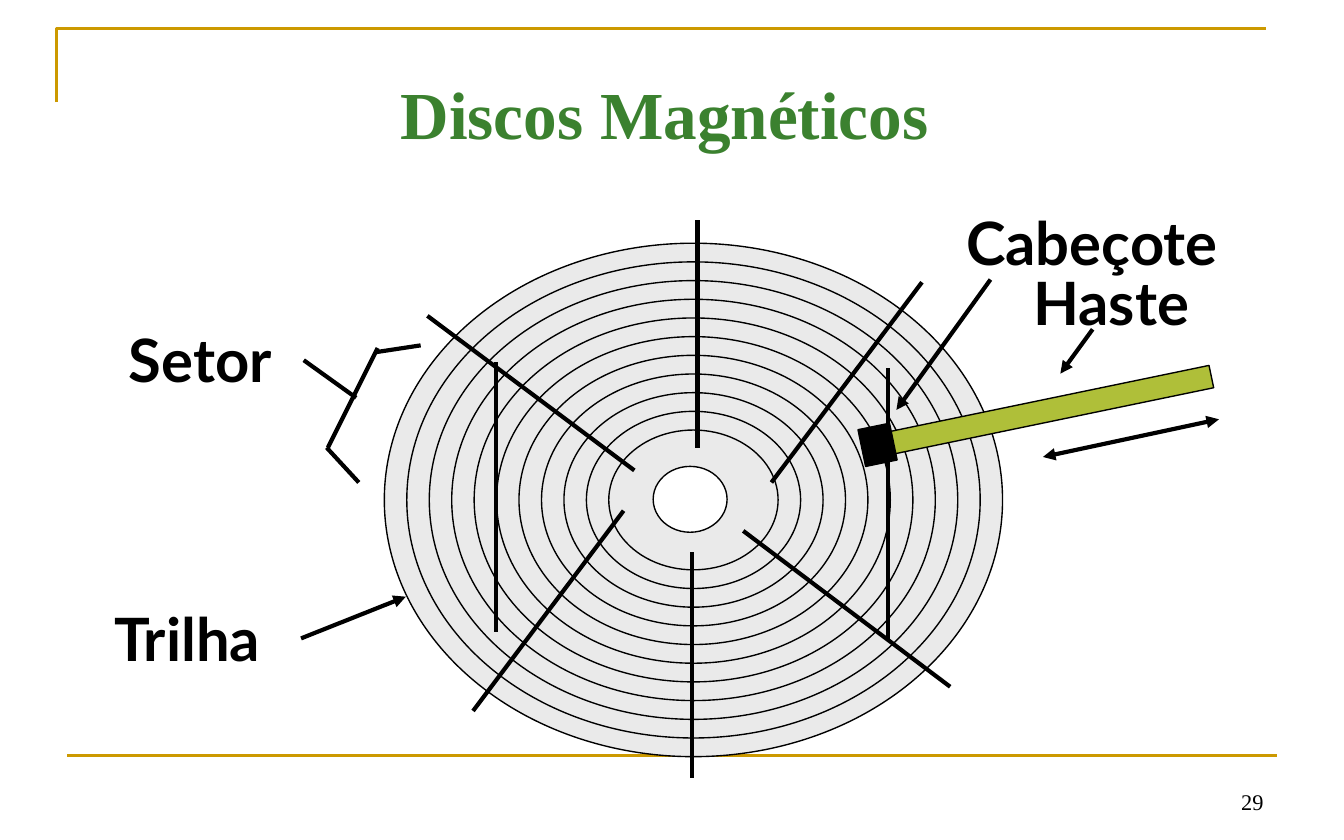
from lxml.etree import SubElement
from pptx import Presentation
from pptx.dml.color import RGBColor
from pptx.enum.shapes import MSO_CONNECTOR, MSO_SHAPE
from pptx.enum.text import MSO_ANCHOR, PP_ALIGN
from pptx.oxml.ns import qn
from pptx.util import Inches, Pt

COLORS = {
    "black": "000000",
    "white": "FFFFFF",
    "gold": "CC9900",
    "title": "3B812F",
    "disk": "EAEAEA",
    "arm": "AFBF39",
}
TRACK_COUNT = 11


def rgb(name):
    return RGBColor.from_string(COLORS[name])


def add_label(slide, text, box, size=32, font="Lato", color="black", bold=True,
              align=PP_ALIGN.LEFT, anchor=MSO_ANCHOR.TOP):
    label = slide.shapes.add_textbox(*map(Inches, box))
    frame = label.text_frame
    frame.word_wrap = True
    frame.vertical_anchor = anchor
    paragraph = frame.paragraphs[0]
    paragraph.alignment = align
    run = paragraph.add_run()
    run.text = text
    run.font.size = Pt(size)
    run.font.name = font
    run.font.bold = bold
    run.font.color.rgb = rgb(color)


def add_part(slide, preset, box, fill=None, rotation=0):
    part = slide.shapes.add_shape(preset, *map(Inches, box))
    part.shadow.inherit = False
    part.rotation = rotation
    if fill:
        part.fill.solid()
        part.fill.fore_color.rgb = rgb(fill)
    else:
        part.fill.background()
    part.line.color.rgb = rgb("black")
    part.line.width = Pt(0.75)


def add_line(slide, start, end, color="black", width=2.25, arrows=()):
    """Draw a line; arrows lists the ends ("headEnd", "tailEnd") that point."""
    line = slide.shapes.add_connector(
        MSO_CONNECTOR.STRAIGHT, *map(Inches, (*start, *end)))
    line.line.color.rgb = rgb(color)
    line.line.width = Pt(width)
    outline = line.line._get_or_add_ln()
    for arrow in arrows:
        SubElement(outline, qn(f"a:{arrow}"), type="triangle")
    SubElement(line._element.spPr, qn("a:effectLst"))


def add_frame(slide):
    builder = slide.shapes.build_freeform(Inches(0.42), Inches(0.76))
    corner = [(0.42, 0.21), (9.42, 0.21)]
    builder.add_line_segments(
        [(Inches(x), Inches(y)) for x, y in corner], close=False)
    border = builder.convert_to_shape()
    border.shadow.inherit = False
    border.fill.background()
    border.line.color.rgb = rgb("gold")
    border.line.width = Pt(1.5)
    add_line(slide, (0.5, 5.62), (9.5, 5.62), "gold", 1.5)


def add_disk(slide):
    # Concentric tracks, from the rim inwards
    left, top, width, height = 2.86, 1.81, 4.6, 3.82
    inset_x, inset_y = 1.67 / (TRACK_COUNT - 1), 1.39 / (TRACK_COUNT - 1)
    for track in range(TRACK_COUNT):
        dx, dy = track * inset_x, track * inset_y
        add_part(slide, MSO_SHAPE.OVAL,
                 (left + dx, top + dy, width - 2 * dx, height - 2 * dy),
                 None if track else "disk")
    add_part(slide, MSO_SHAPE.OVAL, (4.86, 3.47, 0.55, 0.49), "white")

    # Sector borders
    for start, end in [
        ((5.19, 1.64), (5.19, 3.33)),
        ((5.15, 4.11), (5.15, 5.79)),
        ((6.61, 4.76), (6.61, 2.74)),
        ((3.69, 4.7), (3.69, 2.69)),
        ((3.52, 5.29), (4.64, 3.8)),
        ((5.74, 3.59), (6.86, 2.1)),
        ((7.07, 5.11), (5.53, 3.95)),
        ((4.72, 3.5), (3.18, 2.35)),
    ]:
        add_line(slide, start, end)


def add_arm(slide):
    tilt = 348.3
    add_part(slide, MSO_SHAPE.RECTANGLE, (6.45, 2.98, 2.59, 0.17), "arm", tilt)
    add_part(slide, MSO_SHAPE.RECTANGLE, (6.41, 3.17, 0.24, 0.28), "black", tilt)
    add_line(slide, (7.76, 3.4), (9.07, 3.12), arrows=("headEnd", "tailEnd"))


def add_callouts(slide):
    for name, box in [
        ("Trilha", (0.75, 4.43, 1.48, 0.53)),
        ("Setor", (0.86, 2.35, 1.4, 0.53)),
        ("Cabeçote", (7.09, 1.48, 2.27, 0.53)),
        ("Haste", (7.59, 1.93, 1.48, 0.53)),
    ]:
        add_label(slide, name, box)

    # Pointers to track, head and arm
    for start, end in [
        ((2.24, 4.75), (3.02, 4.44)),
        ((7.37, 2.08), (6.67, 3.05)),
        ((8.13, 2.45), (7.89, 2.78)),
    ]:
        add_line(slide, start, end, arrows=("tailEnd",))

    # Bracket around one sector
    for start, end in [
        ((2.67, 3.59), (2.43, 3.33)),
        ((3.13, 2.57), (2.8, 2.62)),
        ((2.44, 3.33), (2.81, 2.59)),
        ((2.65, 2.96), (2.26, 2.68)),
    ]:
        add_line(slide, start, end)


def main():
    deck = Presentation()
    deck.slide_width, deck.slide_height = Inches(10), Inches(6.25)
    slide = deck.slides.add_slide(deck.slide_layouts[6])

    # Frame, page number and title
    add_frame(slide)
    add_label(slide, "29", (7.17, 5.69, 2.33, 0.42), 12, "Times New Roman",
              bold=False, align=PP_ALIGN.RIGHT, anchor=MSO_ANCHOR.BOTTOM)
    add_label(slide, "Discos Magnéticos", (0.74, 0.49, 8.41, 0.58), 36,
              "Times New Roman", "title", align=PP_ALIGN.CENTER)

    # Disk drawing and its labels
    add_disk(slide)
    add_arm(slide)
    add_callouts(slide)
    deck.save("out.pptx")


if __name__ == "__main__":
    main()
